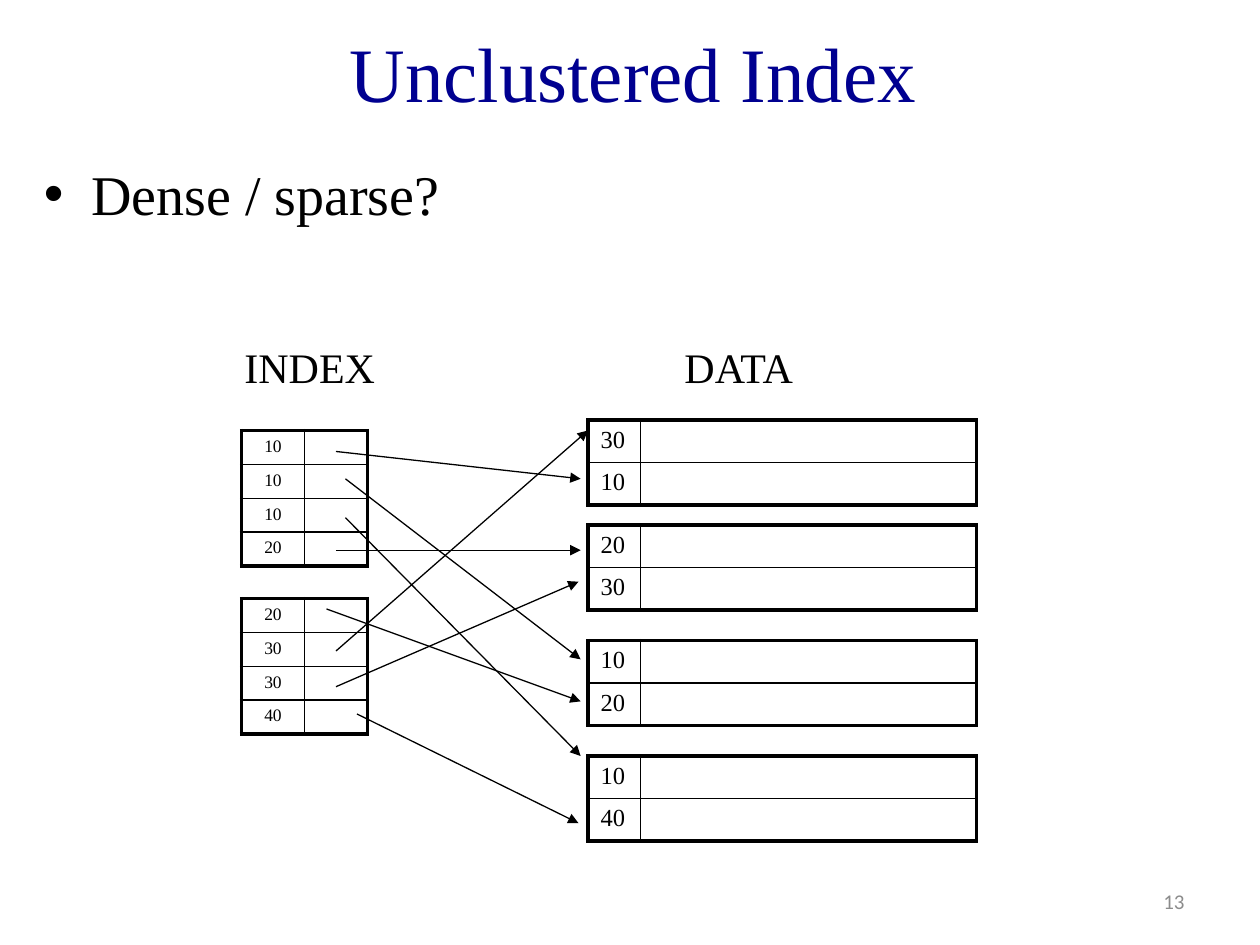
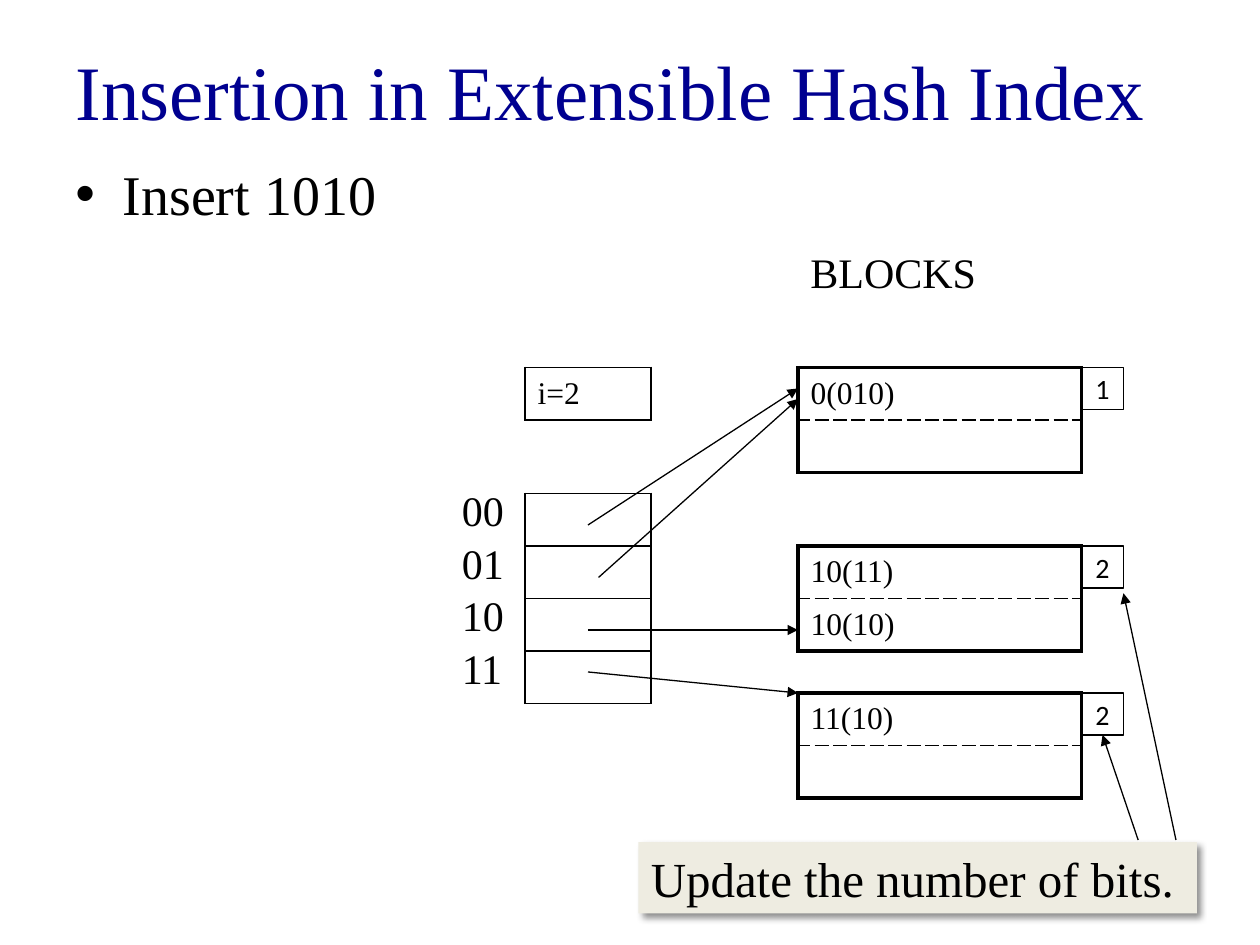
from lxml import etree
from pptx import Presentation
from pptx import util as u
from pptx.dml.color import RGBColor
from pptx.enum import shapes, text
from pptx.oxml import parse_xml
from pptx.oxml.ns import nsdecls, qn

PX = 7620
BLACK = RGBColor(0x00, 0x00, 0x00)
NAVY = RGBColor(0x00, 0x00, 0x90)
GREY = RGBColor(0x8C, 0x8C, 0x8C)
CREAM = RGBColor(0xEE, 0xEC, 0xE1)
SERIF = "Times New Roman"
SANS = "Calibri"
LEFT, CENTER, RIGHT = text.PP_ALIGN.LEFT, text.PP_ALIGN.CENTER, text.PP_ALIGN.RIGHT
TOP, MIDDLE = text.MSO_ANCHOR.TOP, text.MSO_ANCHOR.MIDDLE


def write(tf, value, size, color=BLACK, name=SERIF, align=LEFT, anchor=TOP, wrap=True):
    tf.word_wrap = wrap
    tf.auto_size = text.MSO_AUTO_SIZE.NONE if wrap else text.MSO_AUTO_SIZE.SHAPE_TO_FIT_TEXT
    tf.vertical_anchor = anchor
    p = tf.paragraphs[0]
    p.alignment = align
    r = p.add_run()
    r.text = value
    for key, val in {"size": u.Pt(size), "name": name}.items():
        setattr(r.font, key, val)
    r.font.color.rgb = color
    return p


def add_grid(s, x, y, widths, height, rows, size, outer=2.25, dash="solid",
             align=LEFT, anchor=MIDDLE):
    n, m = len(rows), len(widths)
    table = s.shapes.add_table(n, m, x * PX, y * PX, sum(widths) * PX, n * height * PX).table
    table.first_row = table.horz_banding = False
    for j, width in enumerate(widths):
        table.columns[j].width = width * PX
    for i, value in enumerate(rows):
        table.rows[i].height = height * PX
        for j in range(m):
            cell = table.cell(i, j)
            cell.fill.background()
            cell.vertical_anchor = anchor
            p = cell.text_frame.paragraphs[0]
            p.alignment = align
            if value and j == 0:
                r = p.add_run()
                r.text = value
                r.font.size, r.font.name = u.Pt(size), SERIF
                r.font.color.rgb = BLACK
            else:
                etree.SubElement(p._p, qn("a:endParaRPr"), sz=str(size * 100))
            edges = {"L": j == 0, "R": j == m - 1, "T": i == 0, "B": i == n - 1}
            for k, (side, outside) in enumerate(edges.items()):
                width = u.Pt(outer if outside else 1)
                style = dash if side in "TB" and not outside else "solid"
                cell._tc.get_or_add_tcPr().insert(k, parse_xml(
                    f'<a:ln{side} {nsdecls("a")} w="{width}"><a:solidFill>'
                    f'<a:srgbClr val="{BLACK}"/></a:solidFill>'
                    f'<a:prstDash val="{style}"/></a:ln{side}>'))


prs = Presentation()
prs.slide_width, prs.slide_height = 1200 * PX, 900 * PX

heads = [
    ("Unclustered Index", (30, 6, 1146, 125), CENTER, "Dense / sparse?", (30, 146, 1146, 736)),
    ("Insertion in Extensible Hash Index", (60, 22, 1080, 126), LEFT,
     "Insert 1010", (60, 146, 1080, 656)),
]
slides = []
for title, title_box, align, bullet, body_box in heads:
    s = prs.slides.add_slide(prs.slide_layouts[5])
    slides.append(s)
    sp = s.shapes.title
    for key, val in zip(("left", "top", "width", "height"), title_box):
        setattr(sp, key, val * PX)
    write(sp.text_frame, title, 44, NAVY, align=align, anchor=MIDDLE)
    sp = s.shapes.add_textbox(*(v * PX for v in body_box))
    p = write(sp.text_frame, bullet, 32)
    pPr = p._p.get_or_add_pPr()
    pPr.set("marL", str(45 * PX))
    pPr.set("indent", str(-45 * PX))
    etree.SubElement(pPr, qn("a:buFont"), typeface="Arial")
    etree.SubElement(pPr, qn("a:buChar"), char="•")
unclustered, hashing = slides

sp = unclustered.shapes.add_textbox(860 * PX, 834 * PX, 280 * PX, 48 * PX)
write(sp.text_frame, "13", 12, GREY, SANS, RIGHT, MIDDLE)

for y, keys in [(410, ("10", "10", "10", "20")), (570, ("20", "30", "30", "40"))]:
    add_grid(unclustered, 230, y, (60, 60), 32, keys, 10, align=CENTER, anchor=TOP)
for y, keys in [(400, ("30", "10")), (500, ("20", "30")), (610, ("10", "20")), (720, ("10", "40"))]:
    add_grid(unclustered, 560, y, (50, 320), 40, keys, 14, anchor=TOP)

badges = []
for y, keys, bits in [(350, ("0(010)", ""), "1"), (520, ("10(11)", "10(10)"), "2"),
                      (660, ("11(10)", ""), "2")]:
    add_grid(hashing, 760, y, (270,), 50, keys, 18, dash="lgDash")
    sp = hashing.shapes.add_shape(shapes.MSO_SHAPE.RECTANGLE, 1030 * PX, y * PX, 40 * PX, 40 * PX)
    sp.shadow.inherit = False
    sp.fill.background()
    sp.line.color.rgb, sp.line.width = BLACK, u.Pt(0.75)
    write(sp.text_frame, bits, 16, name=SANS, align=CENTER, anchor=MIDDLE, wrap=False)
    sp.text_frame.auto_size = text.MSO_AUTO_SIZE.NONE
    badges.append(sp)
add_grid(hashing, 500, 350, (120,), 50, ("i=2",), 18, outer=1)
add_grid(hashing, 500, 470, (120,), 50, ("",) * 4, 18, outer=1)

labels = [(unclustered, "DATA", 640, 319, 128), (unclustered, "INDEX", 221, 319, 150),
          (hashing, "BLOCKS", 760, 229, 184)]
labels += [(hashing, f"{k:02b}", 428, 456 + 50 * k, 64) for k in range(4)]
for s, value, x, y, w in labels:
    sp = s.shapes.add_textbox(x * PX, y * PX, w * PX, 60 * PX)
    write(sp.text_frame, value, 24, wrap=False)

sp = hashing.shapes.add_shape(shapes.MSO_SHAPE.RECTANGLE, 608 * PX, 802 * PX, 532 * PX, 68 * PX)
sp.shadow.inherit = False
sp.fill.solid()
sp.fill.fore_color.rgb = CREAM
sp.line.fill.background()
write(sp.text_frame, "Update the number of bits.", 28)
effects = sp._element.spPr.find(qn("a:effectLst"))
effects.append(parse_xml(
    f'<a:outerShdw {nsdecls("a")} blurRad="{u.Pt(4)}" dist="{u.Pt(3)}" dir="2700000" algn="tl" '
    f'rotWithShape="0"><a:srgbClr val="{BLACK}"><a:alpha val="43000"/></a:srgbClr></a:outerShdw>'))

arrows = [
    (unclustered, [(320, 430, 553, 456), (329, 456, 553, 628), (329, 493, 553, 720),
                   (311, 580, 553, 668), (320, 524, 553, 524), (320, 620, 560, 410),
                   (320, 654, 551, 554), (340, 680, 551, 784)]),
    (hashing, [(560, 500, 760, 370), (560, 600, 760, 600), (560, 640, 760, 660),
               (570, 550, 760, 380), (1120, 800, 1070, 565), (1084, 800, 1050, 700)]),
]
for s, ends in arrows:
    for end in ends:
        cx = s.shapes.add_connector(shapes.MSO_CONNECTOR.STRAIGHT, *(v * PX for v in end))
        cx.line.color.rgb, cx.line.width = BLACK, u.Pt(0.75)
        etree.SubElement(cx.line._get_or_add_ln(), qn("a:tailEnd"), type="triangle")
        etree.SubElement(cx._element.spPr, qn("a:effectLst"))
cx.end_connect(badges[-1], 2)

prs.save("out.pptx")
